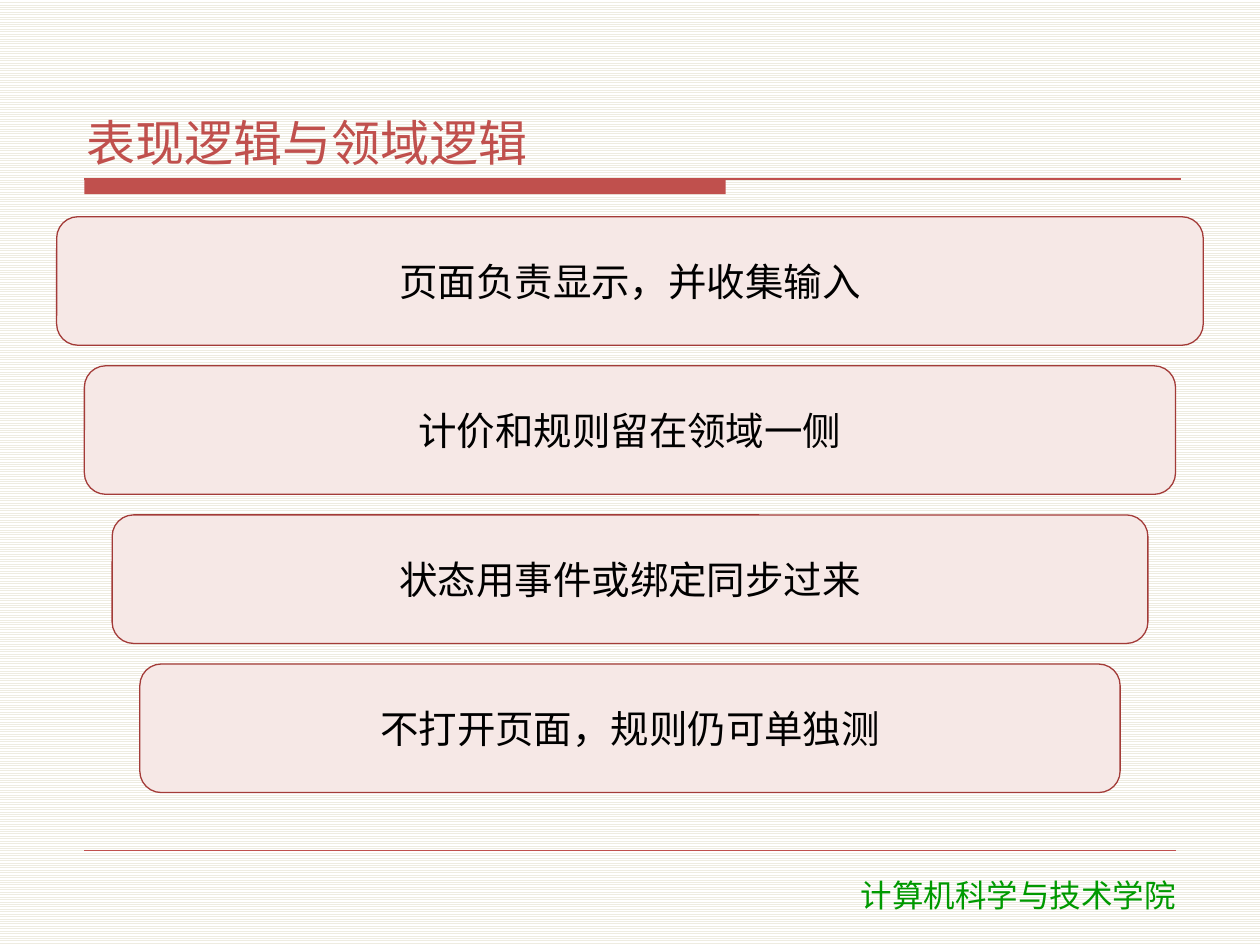
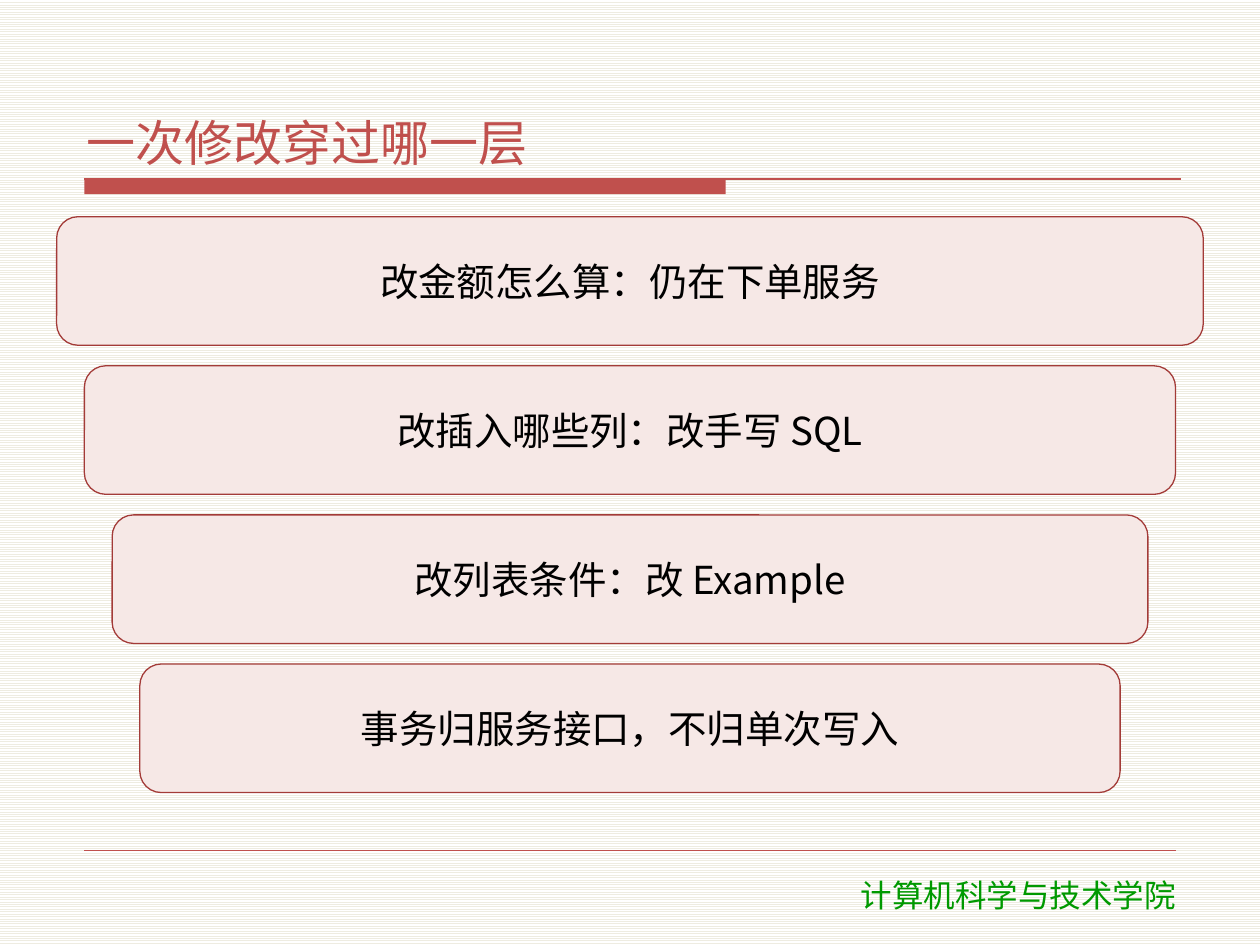
from lxml import etree
from pptx import Presentation
from pptx.dml.color import RGBColor
from pptx.enum.dml import MSO_PATTERN
from pptx.enum.shapes import MSO_CONNECTOR, MSO_SHAPE
from pptx.enum.text import MSO_ANCHOR, PP_ALIGN
from pptx.oxml.ns import qn
from pptx.util import Inches, Pt

SLIDES = [
    ("表现逻辑与领域逻辑", [
        "页面负责显示，并收集输入",
        "计价和规则留在领域一侧",
        "状态用事件或绑定同步过来",
        "不打开页面，规则仍可单独测",
    ]),
    ("一次修改穿过哪一层", [
        "改金额怎么算：仍在下单服务",
        "改插入哪些列：改手写 SQL",
        "改列表条件：改 Example",
        "事务归服务接口，不归单次写入",
    ]),
]
SCHOOL = "计算机科学与技术学院"

FONT, SCHOOL_FONT = "Noto Sans CJK SC", "DejaVu Sans"
RED, DARK_RED, PINK = "C0504D", "A33B38", "F6E8E6"
GREEN, BLACK, WHITE, CREAM = "009900", "000000", "FFFFFF", "EEECE1"

WIDTH, HEIGHT = 10, 7.5
MARGIN = 0.67
RULE_TOP, RULE_RIGHT = 1.42, 9.37
BAND_WIDTH, BAND_HEIGHT = 5.09, 0.12
FOOTER_TOP = 6.75
STACK_TOP, STACK_BOTTOM = 1.72, 6.29
STACK_LEFT, STACK_STEP = 0.45, 0.22
CARD_HEIGHT = 1.02
TEXT_INSETS = (0.06, 0.02)

LEFT, CENTER = PP_ALIGN.LEFT, PP_ALIGN.CENTER
TOP, MIDDLE, BOTTOM = MSO_ANCHOR.TOP, MSO_ANCHOR.MIDDLE, MSO_ANCHOR.BOTTOM


def rgb(code):
    return RGBColor.from_string(code)


def inches(*lengths):
    return [Inches(length) for length in lengths]


def write(shape, text, size, color, align, anchor, font=FONT, insets=TEXT_INSETS, after=2):
    frame = shape.text_frame
    frame.word_wrap = True
    frame.vertical_anchor = anchor
    frame.margin_left = frame.margin_right = Inches(insets[0])
    frame.margin_top = frame.margin_bottom = Inches(insets[1])
    paragraph = frame.paragraphs[0]
    paragraph.text = text
    paragraph.alignment = align
    paragraph.space_after = Pt(after)
    paragraph.font.size = Pt(size)
    paragraph.font.color.rgb = rgb(color)
    paragraph.font.name = font
    # East Asian glyphs take their font from a separate element
    properties = paragraph._p.pPr.find(qn("a:defRPr"))
    etree.SubElement(properties, qn("a:ea"), typeface=font)


def add_block(slide, kind, box, fill, outline=None):
    block = slide.shapes.add_shape(kind, *inches(*box))
    block.shadow.inherit = False
    block.fill.solid()
    block.fill.fore_color.rgb = rgb(fill)
    if outline:
        block.line.color.rgb = rgb(outline)
        block.line.width = Pt(0.75)
    else:
        block.line.fill.background()
    return block


def add_rule(slide, right, y, weight):
    rule = slide.shapes.add_connector(MSO_CONNECTOR.STRAIGHT, *inches(MARGIN, y, right, y))
    rule.line.color.rgb = rgb(RED)
    rule.line.width = Pt(weight)
    etree.SubElement(rule._element.spPr, qn("a:effectLst"))


def add_frame(slide, title):
    """Add the title, its band and rule, and the footer."""
    add_block(slide, MSO_SHAPE.RECTANGLE, (MARGIN, RULE_TOP, BAND_WIDTH, BAND_HEIGHT), RED)
    add_rule(slide, RULE_RIGHT, RULE_TOP, 0.75)
    add_rule(slide, WIDTH - MARGIN, FOOTER_TOP, 0.25)
    school = slide.shapes.add_textbox(*inches(6.07, 6.9, 4.02, 0.4))
    write(school, SCHOOL, 18, GREEN, CENTER, TOP, SCHOOL_FONT, (0.1, 0.05), 0)
    heading = slide.shapes.add_textbox(*inches(0.63, 0.33, 8.75, 1.05))
    write(heading, title, 28, RED, LEFT, BOTTOM)


def add_stack(slide, points):
    """Stack centred cards, each narrower than the one above."""
    pitch = (STACK_BOTTOM - STACK_TOP - CARD_HEIGHT) / (len(points) - 1)
    for row, point in enumerate(points):
        left = STACK_LEFT + row * STACK_STEP
        box = (left, STACK_TOP + row * pitch, WIDTH - 2 * left, CARD_HEIGHT)
        card = add_block(slide, MSO_SHAPE.ROUNDED_RECTANGLE, box, PINK, DARK_RED)
        write(card, point, 22, BLACK, CENTER, MIDDLE)


def main():
    prs = Presentation()
    prs.slide_width, prs.slide_height = inches(WIDTH, HEIGHT)
    blank = prs.slide_layouts[6]
    for title, points in SLIDES:
        slide = prs.slides.add_slide(blank)
        paper = slide.background.fill
        paper.patterned()
        paper.pattern = MSO_PATTERN.LIGHT_HORIZONTAL
        paper.fore_color.rgb = rgb(CREAM)
        paper.back_color.rgb = rgb(WHITE)
        add_frame(slide, title)
        add_stack(slide, points)
    prs.save("out.pptx")


if __name__ == "__main__":
    main()
